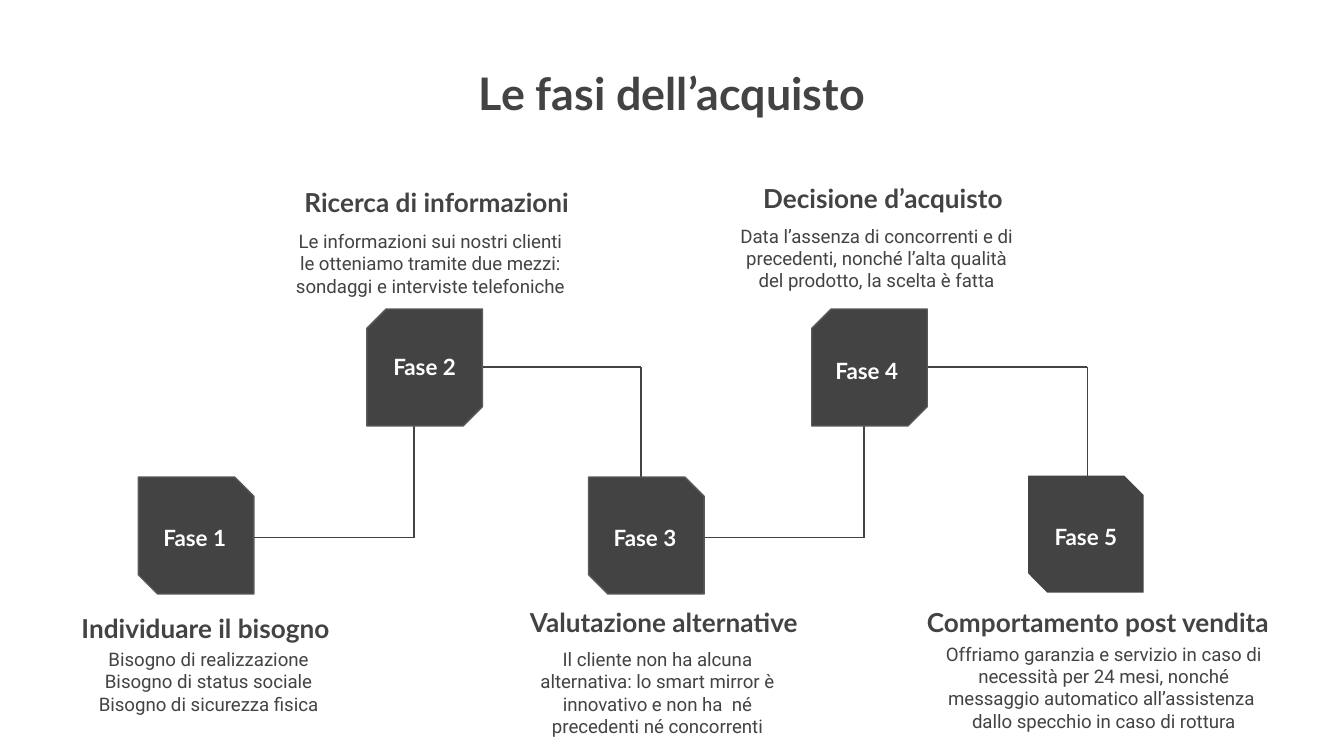
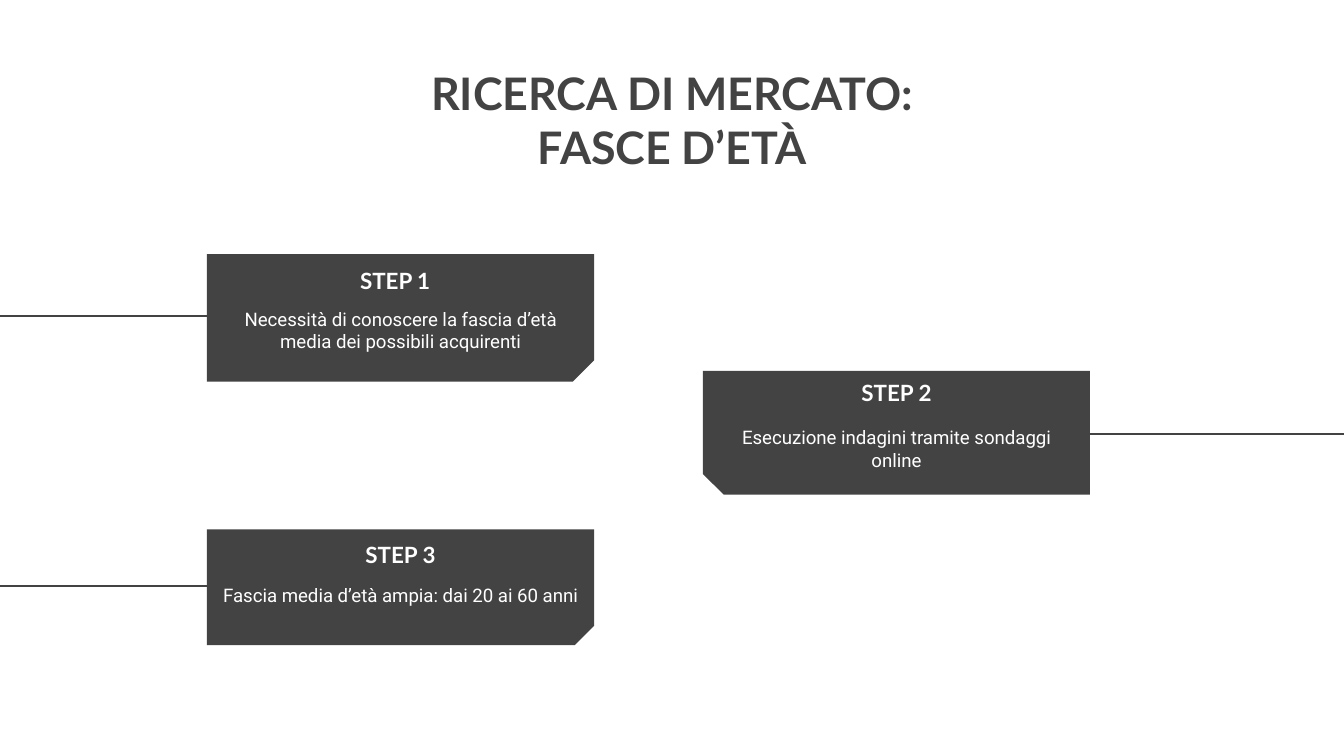
from pptx import Presentation
from pptx.dml.color import RGBColor
from pptx.enum.shapes import MSO_CONNECTOR, MSO_SHAPE
from pptx.enum.text import MSO_ANCHOR, PP_ALIGN
from pptx.oxml.ns import qn
from pptx.util import Inches, Pt
from lxml.etree import SubElement

COLOURS = {"dark": "434343", "edge": "595959", "white": "FFFFFF"}
SLIDE_WIDTH = 10
SLIDE_HEIGHT = SLIDE_WIDTH * 9 / 16
HEADING_FONT = "Lato"
BODY_FONT = "Roboto"
INSET = 0.1
BODY_INDENT = 0.24
SNIP = 0.167
BLOCK_WIDTH, BLOCK_HEIGHT = 0.86, 0.87
HEADING_SIZE = (3.68, 0.48)
STEP_WIDTH = 2.88

PHASES = [
    {"block": (1.03, 3.55), "label": (1.02, 3.8), "raised": False,
     "heading": (-0.31, 4.46), "title": "Individuare il bisogno",
     "body": (0.17, 4.72, 2.52, 0.66),
     "lines": ["Bisogno di realizzazione", "Bisogno di status sociale",
               "Bisogno di sicurezza fisica"]},
    {"block": (2.73, 2.3), "label": (2.73, 2.53), "raised": True,
     "heading": (1.41, 1.29), "title": "Ricerca di informazioni",
     "body": (1.82, 1.61, 2.52, 0.66),
     "lines": ["Le informazioni sui nostri clienti le otteniamo tramite due "
               "mezzi: sondaggi e interviste telefoniche"]},
    {"block": (4.38, 3.55), "label": (4.37, 3.8), "raised": False,
     "heading": (3.1, 4.41), "title": "Valutazione alternative",
     "body": (3.51, 4.72, 2.52, 0.66),
     "lines": ["Il cliente non ha alcuna alternativa: lo smart mirror è "
               "innovativo e non ha  né precedenti né concorrenti"]},
    {"block": (6.04, 2.3), "label": (6.02, 2.56), "raised": True,
     "heading": (4.73, 1.26), "title": "Decisione d’acquisto",
     "body": (5.14, 1.57, 2.52, 0.66),
     "lines": ["Data l’assenza di concorrenti e di precedenti, nonché l’alta "
               "qualità del prodotto, la scelta è fatta"]},
    {"block": (7.65, 3.54), "label": (7.65, 3.79), "raised": False,
     "heading": (6.33, 4.41), "title": "Comportamento post vendita",
     "body": (6.65, 4.68, 2.88, 0.66),
     "lines": ["Offriamo garanzia e servizio in caso di necessità per 24 mesi, "
               "nonché messaggio automatico all’assistenza  dallo specchio in "
               "caso di rottura"]},
]

PHASE_LINKS = [
    [(1.44, 4), (3.08, 4), (3.08, 3.01)],
    [(3.13, 2.73), (4.77, 2.73), (4.77, 3.73)],
    [(4.79, 4), (6.43, 4), (6.43, 3.01)],
    [(6.45, 2.73), (8.09, 2.73), (8.09, 3.73)],
]

STEPS = [
    {"block": (1.54, 1.89, 0.95), "turn": 90, "label": (1.5, 1.89),
     "body": (1.54, 2.19), "line": [(2.65, 2.35), (0, 2.35)],
     "text": "Necessità di conoscere la fascia d’età media dei possibili "
             "acquirenti"},
    {"block": (5.23, 2.76, 0.92), "turn": 180, "label": (5.23, 2.72),
     "body": (5.23, 3.07), "line": [(10, 3.23), (7.31, 3.23)],
     "text": "Esecuzione indagini tramite sondaggi online"},
    {"block": (1.54, 3.94, 0.86), "turn": 90, "label": (1.54, 3.93),
     "body": (1.54, 4.26), "line": [(2.65, 4.36), (0, 4.36)],
     "text": "Fascia media d’età ampia: dai 20 ai 60 anni"},
]


def colour(name):
    return RGBColor.from_string(COLOURS[name])


def add_text(slide, area, lines, size, font=HEADING_FONT, tint="dark",
             bold=True, indent=0):
    box = slide.shapes.add_textbox(*map(Inches, area))
    frame = box.text_frame
    frame.word_wrap = True
    frame.vertical_anchor = MSO_ANCHOR.TOP
    frame.margin_top = frame.margin_bottom = frame.margin_right = Inches(INSET)
    frame.margin_left = Inches(INSET + indent)
    for index, line in enumerate(lines):
        para = frame.add_paragraph() if index else frame.paragraphs[0]
        para.text = line
        para.alignment = PP_ALIGN.CENTER
        for span in para.runs:
            span.font.name = font
            span.font.size = Pt(size)
            span.font.bold = bold
            span.font.color.rgb = colour(tint)


def add_title(slide, text):
    add_text(slide, (2.15, 0.39, 5.7, 1.03), [text], 24)


def add_label(slide, position, width, text):
    add_text(slide, (*position, width, 0.43), [text], 12, tint="white")


def add_body(slide, area, lines, tint="dark", indent=0):
    add_text(slide, area, lines, 10, BODY_FONT, tint, False, indent)


def add_block(slide, kind, area, adjustments, edge=None):
    block = slide.shapes.add_shape(kind, *map(Inches, area))
    block.shadow.inherit = False
    for index, value in enumerate(adjustments):
        block.adjustments[index] = value
    block.fill.solid()
    block.fill.fore_color.rgb = colour("dark")
    if edge:
        block.line.color.rgb = colour(edge)
        block.line.width = Pt(0.75)
    else:
        block.line.fill.background()
    return block


def add_line(slide, start, end):
    line = slide.shapes.add_connector(
        MSO_CONNECTOR.STRAIGHT, *map(Inches, (*start, *end)))
    line.line.color.rgb = colour("dark")
    line.line.width = Pt(0.75)
    SubElement(line._element.spPr, qn("a:effectLst"))


def add_phase(slide, number, phase):
    snips = (SNIP, 0) if phase["raised"] else (0, SNIP)
    edge = None if number == len(PHASES) else "edge"
    add_block(slide, MSO_SHAPE.SNIP_2_DIAG_RECTANGLE,
              (*phase["block"], BLOCK_WIDTH, BLOCK_HEIGHT), snips, edge)
    add_label(slide, phase["label"], BLOCK_WIDTH, f"Fase {number}")
    add_body(slide, phase["body"], phase["lines"], indent=BODY_INDENT)
    add_text(slide, (*phase["heading"], *HEADING_SIZE), [phase["title"]], 14)


def add_step(slide, number, step):
    left, top, height = step["block"]
    area = (left, top, STEP_WIDTH, height)
    if step["turn"] == 90:
        shift = (STEP_WIDTH - height) / 2
        area = (left + shift, top - shift, height, STEP_WIDTH)
    add_line(slide, *step["line"])
    block = add_block(slide, MSO_SHAPE.SNIP_1_RECTANGLE, area, (SNIP,))
    block.rotation = step["turn"]
    add_label(slide, step["label"], STEP_WIDTH, f"STEP {number}")
    add_body(slide, (*step["body"], STEP_WIDTH, 0.65), [step["text"]], "white")


def add_slide(deck, title):
    slide = deck.slides.add_slide(deck.slide_layouts[6])
    slide.background.fill.solid()
    slide.background.fill.fore_color.rgb = colour("white")
    add_title(slide, title)
    return slide


def build_phases(deck):
    slide = add_slide(deck, "Le fasi dell’acquisto")
    for points in PHASE_LINKS:
        for start, end in zip(points, points[1:]):
            add_line(slide, start, end)
    for number, phase in enumerate(PHASES, 1):
        add_phase(slide, number, phase)


def build_steps(deck):
    slide = add_slide(deck, "RICERCA DI MERCATO:\vFASCE D’ETÀ")
    for number, step in enumerate(STEPS, 1):
        add_step(slide, number, step)


def main():
    deck = Presentation()
    deck.slide_width = Inches(SLIDE_WIDTH)
    deck.slide_height = Inches(SLIDE_HEIGHT)
    build_phases(deck)
    build_steps(deck)
    deck.save("out.pptx")


if __name__ == "__main__":
    main()
